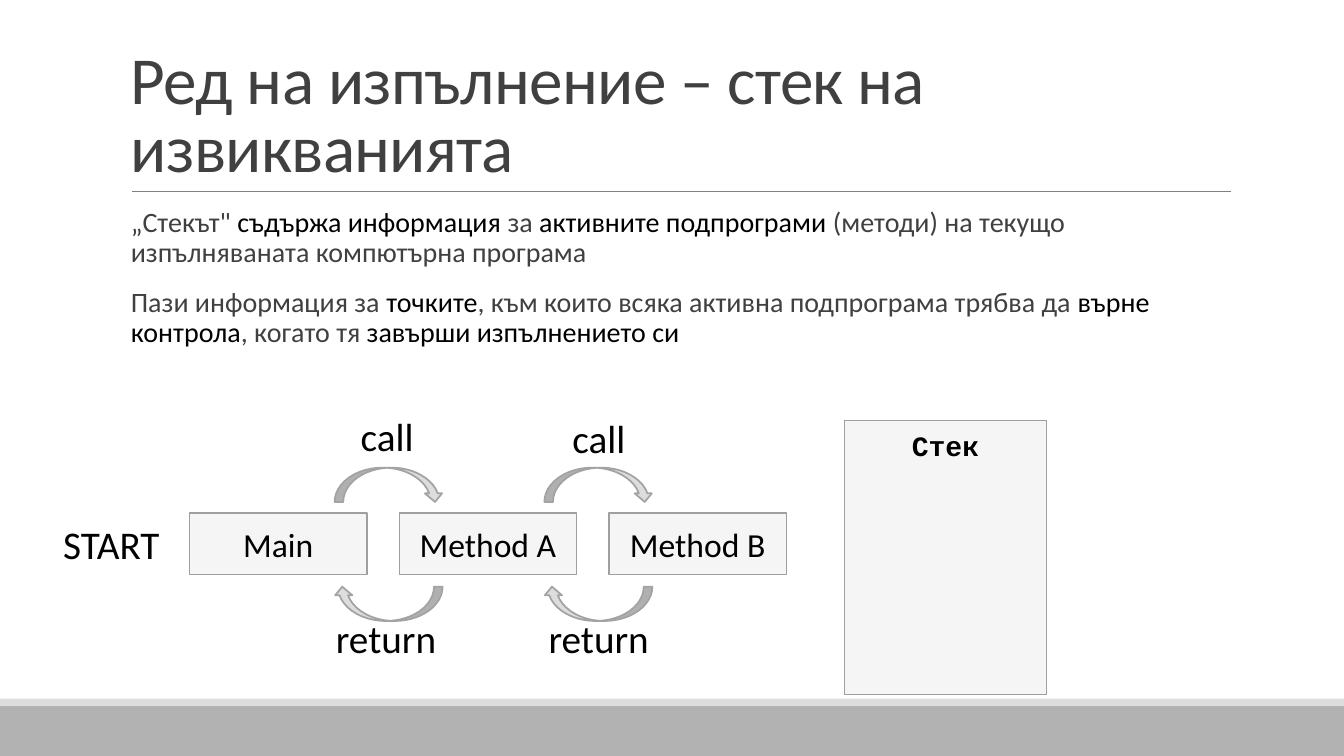
"""Build the call stack slide."""
from lxml.etree import SubElement
from pptx import Presentation
from pptx.dml.color import RGBColor
from pptx.enum.shapes import MSO_CONNECTOR, MSO_SHAPE
from pptx.enum.text import MSO_ANCHOR, PP_ALIGN
from pptx.oxml.ns import qn
from pptx.util import Pt

COLORS = {
    "black": "000000", "text": "404040", "rule": "808080", "band": "B2B2B2",
    "light": "DDDDDD", "edge": "A3A3A3", "box": "BFBFBF", "frame": "9F9F9F",
}
STEP = 149.8
BODY = [
    ["„Стекът\" ", "съдържа информация ", "за ", "активните подпрограми",
     " (методи) на текущо изпълняваната компютърна програма"],
    ["Пази информация за ", "точките",
     ", към които всяка активна подпрограма трябва да ", "върне контрола",
     ", когато тя ", "завърши изпълнението си"],
]
LABELS = [
    ("call", 236.2, 295.9, 80.6), ("call", 387.4, 297.4, 80.6),
    ("return", 226.8, 439.9, 97.9), ("return", 378.7, 439.9, 97.9),
    ("START", 36, 373, 87.1),
]


def color(name):
    """Return the named colour."""
    return RGBColor.from_string(COLORS[name])


def style(run, size, tint="black", font="Calibri", bold=False):
    """Format one run."""
    run.font.name = font
    run.font.size = Pt(size)
    run.font.bold = bold
    run.font.color.rgb = color(tint)


def add_text(slide, area, text="", size=28, tint="black", font="Calibri",
             bold=False, align=PP_ALIGN.CENTER, anchor=MSO_ANCHOR.MIDDLE):
    """Add a wrapped text box and return its frame."""
    frame = slide.shapes.add_textbox(*map(Pt, area)).text_frame
    frame.word_wrap = True
    frame.vertical_anchor = anchor
    frame.text = text
    frame.paragraphs[0].alignment = align
    for run in frame.paragraphs[0].runs:
        style(run, size, tint, font, bold)
    return frame


def add_form(slide, kind, area, fill, line=None, width=1):
    """Add a filled preset shape without a shadow."""
    form = slide.shapes.add_shape(kind, *map(Pt, area))
    form.shadow.inherit = False
    form.fill.solid()
    form.fill.fore_color.rgb = color(fill)
    if line:
        form.line.color.rgb = color(line)
        form.line.width = Pt(width)
    else:
        form.line.fill.background()
    return form


def add_box(slide, area, text=""):
    """Add a pale box with an optional caption."""
    box = add_form(slide, MSO_SHAPE.RECTANGLE, area, "box", "frame")
    tone = box.fill._xPr.find(qn("a:solidFill"))[0]
    SubElement(tone, qn("a:alpha"), val="15000")
    frame = box.text_frame
    frame.margin_left = frame.margin_right = Pt(7.2)
    frame.vertical_anchor = MSO_ANCHOR.MIDDLE
    frame.text = text
    frame.paragraphs[0].alignment = PP_ALIGN.CENTER
    for run in frame.paragraphs[0].runs:
        style(run, 24)


def add_arrow(slide, left, top, flip):
    """Add a curved arrow turned on its side."""
    arrow = add_form(slide, MSO_SHAPE.CURVED_RIGHT_ARROW,
                     (left, top, 24.5, 77.8), "light", "edge", 1.25)
    arrow.rotation = 90
    arrow._element.spPr.find(qn("a:xfrm")).set(flip, "1")


def add_rule(slide):
    """Add the thin line under the title."""
    ends = map(Pt, (94.3, 136.8, 879.1, 136.8))
    rule = slide.shapes.add_connector(MSO_CONNECTOR.STRAIGHT, *ends)
    rule.line.color.rgb = color("rule")
    rule.line.width = Pt(0.5)
    SubElement(rule._element.spPr, qn("a:effectLst"))


def add_title(slide):
    """Add the slide title."""
    frame = add_text(slide, (86.4, 22.3, 792, 114.5),
                     "Ред на изпълнение – стек на извикванията", 48, "text",
                     align=PP_ALIGN.LEFT, anchor=MSO_ANCHOR.BOTTOM)
    title = frame.paragraphs[0]
    title.line_spacing = 0.85
    title.runs[0].font._element.set("spc", "-50")


def add_body(slide):
    """Add the body text, with every second run in black."""
    frame = add_text(slide, (86.4, 145.4, 792, 316.8), anchor=MSO_ANCHOR.TOP)
    frame.margin_right = 0
    for i, parts in enumerate(BODY):
        para = frame.add_paragraph() if i else frame.paragraphs[0]
        para.alignment = PP_ALIGN.LEFT
        para.line_spacing = 0.9
        para.space_before = Pt(12)
        para.space_after = Pt(2)
        for j, part in enumerate(parts):
            run = para.add_run()
            run.text = part
            style(run, 20, "black" if j % 2 else "text")


def main():
    """Build and save the slide."""
    deck = Presentation()
    deck.slide_width, deck.slide_height = Pt(960), Pt(540)
    slide = deck.slides.add_slide(deck.slide_layouts[6])
    add_form(slide, MSO_SHAPE.RECTANGLE, (0, 504, 960, 36), "band")
    add_form(slide, MSO_SHAPE.RECTANGLE, (0, 499, 960, 5), "light")
    add_rule(slide)
    add_title(slide)
    add_body(slide)
    for i, name in enumerate(("Main", "Method A", "Method B")):
        add_box(slide, (135.4 + i * STEP, 366.5, 126.7, 43.9), name)
    for i in range(2):
        add_arrow(slide, 265.7 + i * STEP, 307.4, "flipV")
        add_arrow(slide, 265 + i * STEP, 392.4, "flipH")
    for text, left, top, width in LABELS:
        add_text(slide, (left, top, width, 31), text)
    add_box(slide, (603.4, 300.2, 144, 195.8))
    add_text(slide, (603.4, 302.4, 144, 55.4), "Стек", 20,
             font="Courier New", bold=True, anchor=MSO_ANCHOR.TOP)
    deck.save("out.pptx")


if __name__ == "__main__":
    main()
